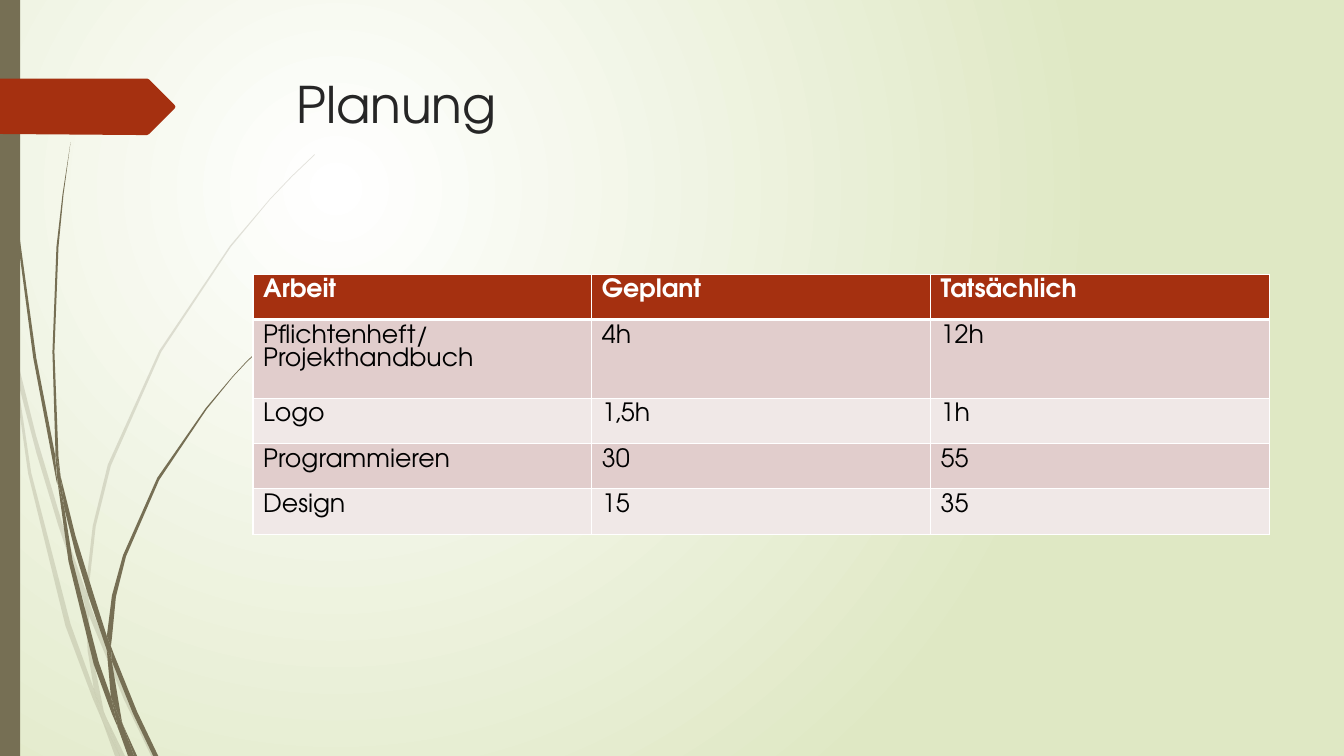
from dataclasses import dataclass
from typing import Optional

from lxml.etree import SubElement
from pptx import Presentation
from pptx.dml.color import RGBColor
from pptx.oxml.ns import qn
from pptx.enum.shapes import MSO_SHAPE
from pptx.util import Inches, Pt

FONT = "TeX Gyre Adventor"
OLIVE, RUST, WHITE, BLACK = "766F54", "A53010", "FFFFFF", "000000"
Outline = list[tuple[float, float]]


@dataclass
class Grass:
    """A tuft of blades, each outlined in inches."""
    color: str
    outlines: list[Outline]
    opacity: Optional[int] = None


@dataclass
class Row:
    height: float
    texts: tuple[str, str, str]
    fill: str
    color: str = BLACK
    bold: bool = False
    top: float = 1
    bottom: float = 1


PALE_GRASS = Grass(OLIVE, opacity=20, outlines=[
    [(0.11, 3.5), (0.09, 3.22), (0, 2.82), (0, 2.99), (0.1, 3.44)],
    [(0.58, 5.22), (0.84, 5.99), (0.85, 5.86), (0.62, 5.2), (0.36, 4.33),
     (0.14, 3.45), (0.17, 3.76), (0.36, 4.49)],
    [(0.92, 6.07), (0.88, 5.96), (0.88, 6.1), (1.23, 6.94), (1.5, 7.5),
     (1.55, 7.5), (1.27, 6.92)],
    [(1.19, 7.5), (1.24, 7.5), (1.05, 7.11)],
    [(0.93, 6.83), (0.7, 6.19), (0.31, 4.69), (0.17, 3.76), (0.11, 3.5),
     (0.28, 4.7), (0.65, 6.21), (0.92, 6.93), (1.01, 7.14), (0.99, 7.07)],
    [(0.84, 5.99), (0.87, 6.46), (0.93, 6.83), (0.96, 6.92), (1.05, 7.11),
     (1.03, 7.06), (0.91, 6.46), (0.88, 6.1), (0.88, 6.08)],
    [(0.88, 5.84), (0.95, 5.22), (1.1, 4.62), (1.6, 3.49), (2.29, 2.45),
     (2.68, 1.98), (2.9, 1.75), (3.12, 1.54), (3.12, 1.53), (2.89, 1.75),
     (2.68, 1.97), (2.28, 2.44), (1.58, 3.48), (1.07, 4.61), (0.92, 5.22),
     (0.85, 5.84), (0.85, 5.86), (0.88, 5.96)],
    [(1.01, 7.14), (1.14, 7.5), (1.19, 7.5)],
    [(0.88, 6.08), (0.88, 6.1), (0.88, 5.96), (0.85, 5.86), (0.84, 5.99)],
    [(0.96, 6.92), (0.93, 6.83), (0.99, 7.07), (1.01, 7.14), (1.19, 7.5),
     (1.05, 7.11)],
])
DARK_GRASS = Grass(OLIVE, [
    [(0.07, 1.1), (0.17, 2.33), (0.33, 3.55), (0.56, 4.77), (0.57, 4.81),
     (0.55, 4.57), (0.55, 4.53), (0.36, 3.55), (0.19, 2.32), (0.08, 1.09),
     (0.05, 0.48), (0.04, 0), (0.03, 0), (0.04, 0.48)],
    [(0.88, 5.92), (1.06, 6.45), (1.06, 6.33), (1.06, 6.31), (0.93, 5.9),
     (0.75, 5.32), (0.6, 4.72), (0.64, 5.05), (0.75, 5.49)],
    [(1.13, 6.49), (1.1, 6.41), (1.11, 6.56), (1.32, 7.08), (1.52, 7.5),
     (1.57, 7.5), (1.36, 7.06)],
    [(1.1, 6.91), (0.98, 6.57), (0.72, 5.56), (0.64, 5.05), (0.57, 4.77),
     (0.68, 5.57), (0.93, 6.59), (1.11, 7.08), (1.17, 7.22), (1.16, 7.17)],
    [(0.6, 4.72), (0.58, 4.53), (0.54, 3.49), (0.58, 2.45), (0.63, 1.93),
     (0.7, 1.41), (0.62, 1.93), (0.56, 2.45), (0.52, 3.49), (0.55, 4.49)],
    [(1.33, 7.5), (1.36, 7.5), (1.22, 7.19)],
    [(0.57, 4.77), (0.64, 5.05), (0.6, 4.72), (0.55, 4.49), (0.55, 4.53)],
    [(1.11, 6.33), (1.15, 5.92), (1.25, 5.52), (1.58, 4.76), (2.05, 4.06),
     (2.31, 3.74), (2.45, 3.59), (2.61, 3.44), (2.6, 3.44), (2.45, 3.58),
     (2.31, 3.73), (2.04, 4.05), (1.56, 4.74), (1.22, 5.51), (1.11, 5.91),
     (1.06, 6.31), (1.1, 6.41)],
    [(1.17, 7.22), (1.27, 7.5), (1.31, 7.5)],
    [(1.06, 6.45), (1.1, 6.91), (1.16, 7.06), (1.22, 7.19), (1.21, 7.16),
     (1.11, 6.56), (1.09, 6.51)],
    [(1.06, 6.45), (1.09, 6.51), (1.11, 6.56), (1.1, 6.41), (1.06, 6.31),
     (1.06, 6.33)],
    [(1.16, 7.06), (1.1, 6.91), (1.16, 7.17), (1.17, 7.22), (1.3, 7.5),
     (1.33, 7.5), (1.22, 7.19)],
])
TITLE_MARKER: Outline = [
    (1.73, 1.08), (1.48, 1.33), (1.46, 1.34), (1.36, 1.34), (0, 1.33),
    (0, 0.78), (1.46, 0.78), (1.48, 0.79), (1.73, 1.04), (1.74, 1.06)]

ROSE, PALE_ROSE = "E1CDCC", "F0E8E7"
ROWS = [
    Row(0.45, ("Arbeit", "Geplant", "Tatsächlich"), RUST, WHITE, True, bottom=3),
    Row(0.78, ("Pflichtenheft/\nProjekthandbuch", "4h", "12h"), ROSE, top=3),
    Row(0.45, ("Logo", "1,5h", "1h"), PALE_ROSE),
    Row(0.45, ("Programmieren", "30", "55"), ROSE),
    Row(0.45, ("Design", "15", "35"), PALE_ROSE),
]


def rgb(color: str) -> RGBColor:
    return RGBColor.from_string(color)


def paint(sp, color: str, opacity: Optional[int] = None) -> None:
    """Give a shape a flat fill without line or shadow."""
    sp.shadow.inherit = False
    sp.line.fill.background()
    sp.fill.solid()
    sp.fill.fore_color.rgb = rgb(color)
    if opacity is not None:
        clr = sp._element.spPr.find(qn("a:solidFill")).find(qn("a:srgbClr"))
        SubElement(clr, qn("a:alpha"), val=str(opacity * 1000))


def add_outline(s, points: Outline, color: str, opacity: Optional[int] = None):
    (x, y), *rest = [(Inches(px), Inches(py)) for px, py in points]
    builder = s.shapes.build_freeform(x, y)
    builder.add_line_segments(rest, close=True)
    sp = builder.convert_to_shape()
    paint(sp, color, opacity)
    return sp


def add_grass(s, grass: Grass) -> None:
    blades = [add_outline(s, o, grass.color, grass.opacity) for o in grass.outlines]
    s.shapes.add_group_shape(blades)


def add_text(tf, text: str, size: float, color: str, bold: bool = False) -> None:
    for i, line in enumerate(text.split("\n")):
        p = tf.add_paragraph() if i else tf.paragraphs[0]
        r = p.add_run()
        r.text = line
        r.font.name, r.font.size, r.font.bold = FONT, Pt(size), bold
        r.font.color.rgb = rgb(color)


def set_background(s) -> None:
    """Glow white from the upper left into pale green."""
    fill = s.background.fill
    fill.gradient()
    for stop, color in zip(fill.gradient_stops, (WHITE, "DFE8C4")):
        stop.color.rgb = rgb(color)
    grad = next(s._element.iter(qn("a:gradFill")))
    grad.remove(grad.find(qn("a:lin")))
    glow = SubElement(grad, qn("a:path"), path="circle")
    SubElement(glow, qn("a:fillToRect"), l="50000", t="50000", r="100000", b="100000")


def set_borders(cell, row: Row) -> None:
    tc_pr = cell._tc.get_or_add_tcPr()
    for side, width in (("L", 1), ("R", 1), ("T", row.top), ("B", row.bottom)):
        ln = SubElement(tc_pr, qn(f"a:ln{side}"), w=str(Pt(width)))
        SubElement(SubElement(ln, qn("a:solidFill")), qn("a:srgbClr"), val=WHITE)


def add_plan(s) -> None:
    height = sum(row.height for row in ROWS)
    table = s.shapes.add_table(len(ROWS), 3, Inches(2.51), Inches(2.72),
                               Inches(10.08), Inches(height)).table
    for i, row in enumerate(ROWS):
        table.rows[i].height = Inches(row.height)
        for j, text in enumerate(row.texts):
            cell = table.cell(i, j)
            set_borders(cell, row)
            cell.fill.solid()
            cell.fill.fore_color.rgb = rgb(row.fill)
            add_text(cell.text_frame, text, 18, row.color, row.bold)


def main() -> None:
    prs = Presentation()
    prs.slide_width, prs.slide_height = Inches(13.33), Inches(7.5)
    s = prs.slides.add_slide(prs.slide_layouts[6])
    set_background(s)
    add_grass(s, PALE_GRASS)
    add_grass(s, DARK_GRASS)
    bar = s.shapes.add_shape(MSO_SHAPE.RECTANGLE, 0, 0, Inches(0.2), Inches(7.5))
    paint(bar, OLIVE)
    add_outline(s, TITLE_MARKER, RUST)
    title = s.shapes.add_textbox(Inches(2.84), Inches(0.68), Inches(9.75), Inches(1.4))
    title.text_frame.word_wrap = True
    add_text(title.text_frame, "Planung", 36, "262626")
    add_plan(s)
    prs.save("out.pptx")


if __name__ == "__main__":
    main()
